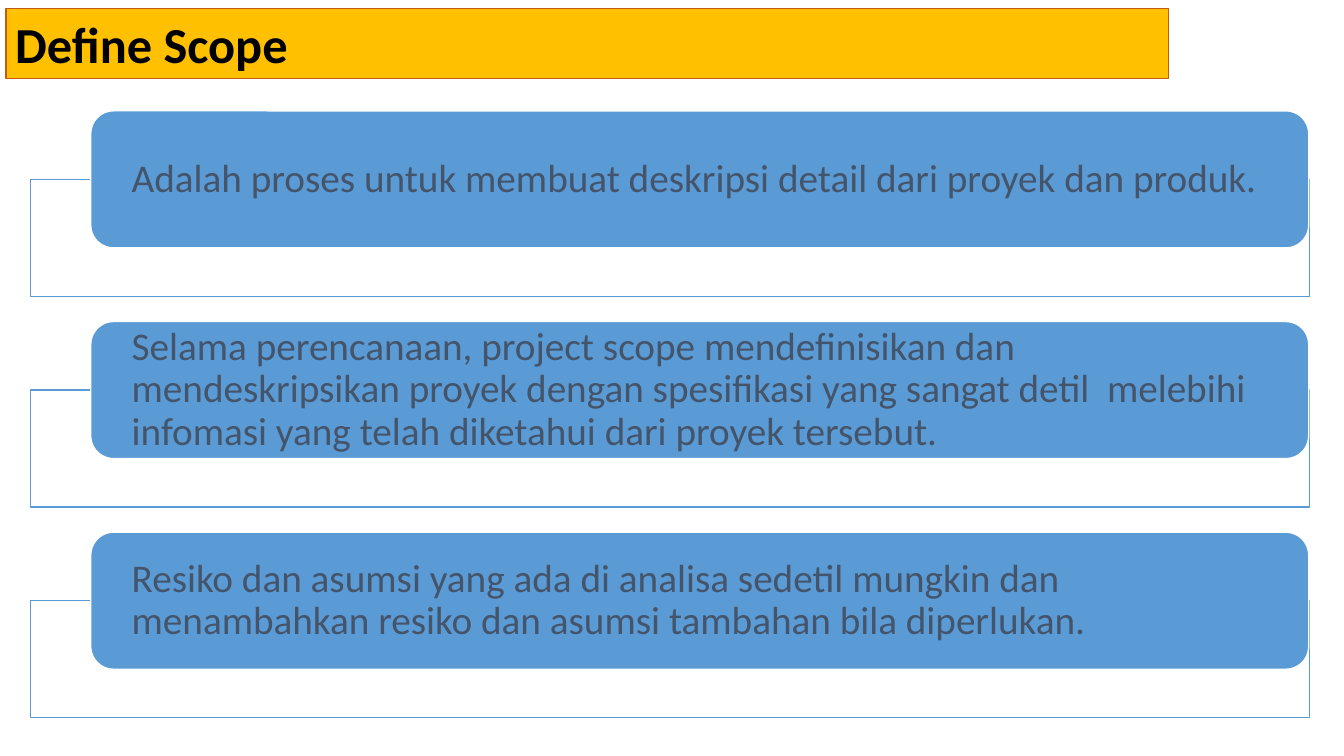
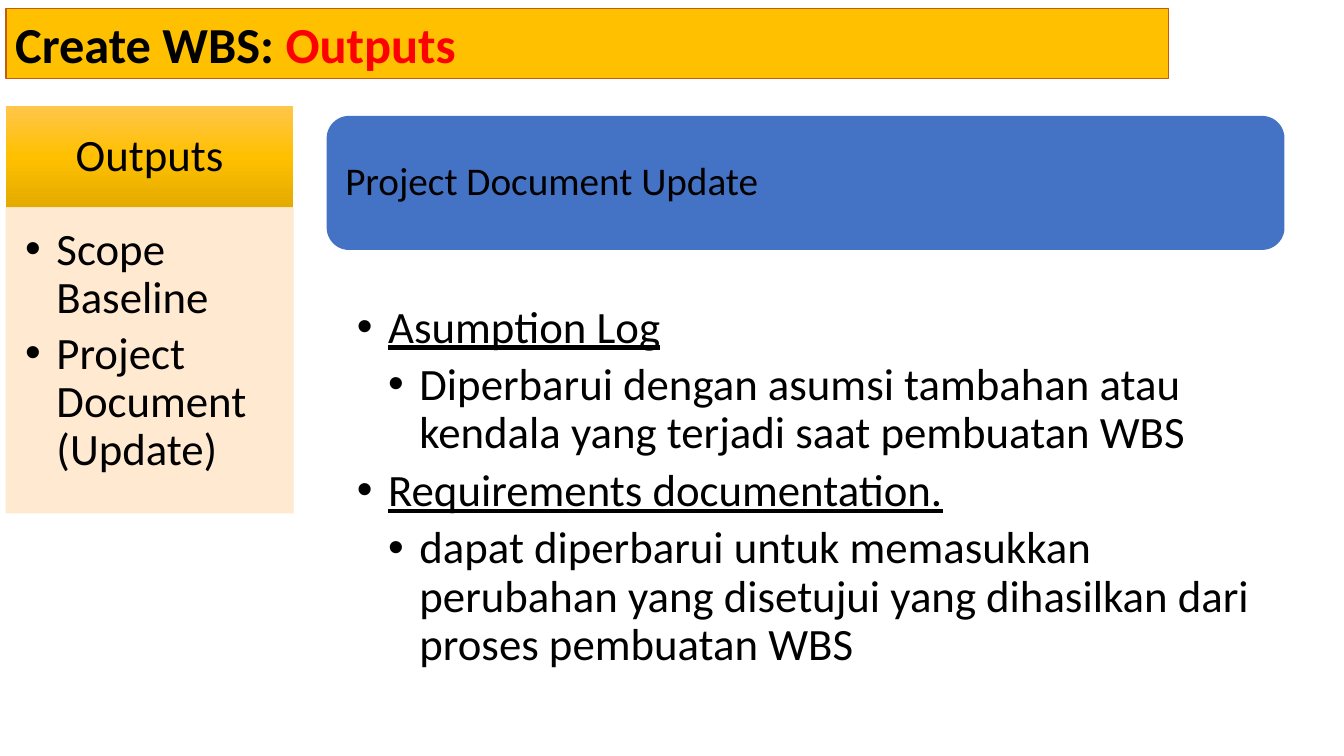
"""Build two project scope slides: Define Scope and Create WBS outputs."""
from copy import deepcopy
from dataclasses import dataclass

from lxml import etree
from pptx import Presentation
from pptx import util as u
from pptx.dml import color
from pptx.enum import shapes, text
from pptx.oxml import ns

FONT = "Calibri"
BLACK, WHITE, RED = "000000", "FFFFFF", "FF0000"
AMBER, RUST, SLATE = "FFC000", "C55A11", "44546A"
SKY, BLUE, PEACH = "5B9BD5", "4472C4", "FFE8CC"
AMBER_FADE = ((0, "FFC64B"), (0.5, AMBER), (1, "E3AB00"))
RECT = shapes.MSO_SHAPE.RECTANGLE
ROUND = shapes.MSO_SHAPE.ROUNDED_RECTANGLE
TOP, MIDDLE = text.MSO_ANCHOR.TOP, text.MSO_ANCHOR.MIDDLE
LEFT, CENTER = text.PP_ALIGN.LEFT, text.PP_ALIGN.CENTER
BULLET_INDENT = 0.31
ROW_TOP, ROW_PITCH = 1.1, 2.09


@dataclass
class Box:
    left: float
    top: float
    width: float
    height: float


@dataclass
class Run:
    text: str
    color: str = BLACK
    underline: bool = False


@dataclass
class Para:
    runs: list[Run]
    level: int = 0


TITLE_BAR = Box(0.06, 0.08, 11.53, 0.7)
SCOPE_POINTS = (
    "Adalah proses untuk membuat deskripsi detail dari proyek dan produk.",
    "Selama perencanaan, project scope mendefinisikan dan mendeskripsikan proyek "
    "dengan spesifikasi yang sangat detil  melebihi infomasi yang telah diketahui "
    "dari proyek tersebut.",
    "Resiko dan asumsi yang ada di analisa sedetil mungkin dan menambahkan resiko "
    "dan asumsi tambahan bila diperlukan.",
)
OUTPUTS = [Para([Run(t)], 1) for t in ("Scope Baseline", "Project Document (Update)")]
UPDATES = [
    Para([Run("Asumption Log", underline=True)], 1),
    Para([Run("Diperbarui dengan asumsi tambahan atau kendala yang terjadi saat "
              "pembuatan WBS")], 2),
    Para([Run("Requirements documentation.", underline=True)], 1),
    Para([Run("dapat diperbarui untuk memasukkan perubahan yang disetujui yang "
              "dihasilkan dari proses pembuatan WBS")], 2),
]


def rgb(value: str) -> color.RGBColor:
    """Turn a hex string into a colour."""
    return color.RGBColor.from_string(value)


def place(box: Box) -> tuple:
    """Return the position and size of a box as lengths."""
    return tuple(u.Inches(v) for v in (box.left, box.top, box.width, box.height))


def add_box(s, kind, box: Box, fill: str | None = None, line: str | None = None,
            weight: float = 1, alpha: int = 100):
    """Add a preset shape with a flat fill and an optional outline."""
    sp = s.shapes.add_shape(kind, *place(box))
    sp.shadow.inherit = False
    if fill:
        sp.fill.solid()
        sp.fill.fore_color.rgb = rgb(fill)
    if line:
        sp.line.color.rgb = rgb(line)
        sp.line.width = u.Pt(weight)
    else:
        sp.line.fill.background()
    if alpha < 100:
        for clr in sp._element.spPr.iter(ns.qn("a:srgbClr")):
            etree.SubElement(clr, ns.qn("a:alpha"), val=str(alpha * 1000))
    return sp


def fade(sp, stops) -> None:
    """Fill a shape with a top-to-bottom gradient."""
    sp.fill.gradient()
    sp.fill.gradient_angle = 270
    gs = sp._element.spPr.find(".//" + ns.qn("a:gsLst"))
    for _ in stops[2:]:
        gs.append(deepcopy(gs[0]))
    for stop, (position, value) in zip(sp.fill.gradient_stops, stops):
        stop.position = position
        stop.color.rgb = rgb(value)


def add_bullet(p, level: int) -> None:
    """Give a paragraph a hanging bullet at the given level."""
    pPr = p._p.get_or_add_pPr()
    pPr.set("marL", str(u.Inches(BULLET_INDENT * level)))
    pPr.set("indent", str(u.Inches(-BULLET_INDENT)))
    etree.SubElement(pPr, ns.qn("a:buFont"), typeface="Arial")
    etree.SubElement(pPr, ns.qn("a:buChar"), char="•")


def write(sp, paras: list[Para], *, size: int, insets: tuple, bold: bool = False,
          anchor=TOP, align=LEFT, spacing: float = 0.9, after: float = 0) -> None:
    """Write formatted paragraphs into a shape."""
    tf = sp.text_frame
    tf.word_wrap = True
    tf.vertical_anchor = anchor
    tf.margin_left, tf.margin_top, tf.margin_right, tf.margin_bottom = map(u.Inches, insets)
    for i, para in enumerate(paras):
        p = tf.add_paragraph() if i else tf.paragraphs[0]
        p.alignment = align
        p.line_spacing = spacing
        p.space_after = u.Pt(after)
        if para.level:
            p.level = para.level
            add_bullet(p, para.level)
        for run in para.runs:
            r = p.add_run()
            r.text = run.text
            r.font.name, r.font.size, r.font.bold = FONT, u.Pt(size), bold
            r.font.underline = run.underline
            r.font.color.rgb = rgb(run.color)


def add_slide(prs, title: list[Run]):
    """Add a blank slide with the amber title bar."""
    s = prs.slides.add_slide(prs.slide_layouts[6])
    bar = add_box(s, RECT, TITLE_BAR, AMBER, RUST, 0.75)
    write(bar, [Para(title)], size=36, bold=True, spacing=1,
          insets=(0.09, 0.05, 0.09, 0.05))
    return s


def define_scope(prs) -> None:
    """Build the slide with three statements over open frames."""
    s = add_slide(prs, [Run("Define Scope")])
    for i, point in enumerate(SCOPE_POINTS):
        top = ROW_TOP + i * ROW_PITCH
        add_box(s, RECT, Box(0.3, top + 0.68, 12.69, 1.16), WHITE, SKY)
        card = add_box(s, ROUND, Box(0.9, top, 12.08, 1.36), SKY, WHITE)
        write(card, [Para([Run(point, SLATE)])], size=28, anchor=MIDDLE,
              insets=(0.34, 0, 0.34, 0))


def wbs_outputs(prs) -> None:
    """Build the slide with the outputs list and document updates."""
    s = add_slide(prs, [Run("Create WBS: "), Run("Outputs", RED)])
    head = add_box(s, RECT, Box(0.06, 1.05, 2.85, 1.01))
    fade(head, AMBER_FADE)
    write(head, [Para([Run("Outputs")])], size=32, anchor=MIDDLE, align=CENTER,
          insets=(0.25, 0.14, 0.25, 0.14))
    panel = add_box(s, RECT, Box(0.06, 2.06, 2.85, 3.03), PEACH, PEACH, 0.5, alpha=90)
    write(panel, OUTPUTS, size=32, after=4.8, insets=(0.19, 0.19, 0.25, 0.28))
    banner = add_box(s, ROUND, Box(3.24, 1.15, 9.5, 1.33), BLUE)
    write(banner, [Para([Run("Project Document Update")])], size=28, anchor=MIDDLE,
          insets=(0.12, 0.12, 0.12, 0.12))
    details = s.shapes.add_textbox(*place(Box(3.24, 2.98, 9.5, 3.9)))
    write(details, UPDATES, size=32, after=6.4, insets=(0.3, 0.04, 0.25, 0.04))


def main() -> None:
    """Build and save the presentation."""
    prs = Presentation()
    prs.slide_width, prs.slide_height = u.Inches(13.33), u.Inches(7.5)
    define_scope(prs)
    wbs_outputs(prs)
    prs.save("out.pptx")


if __name__ == "__main__":
    main()
